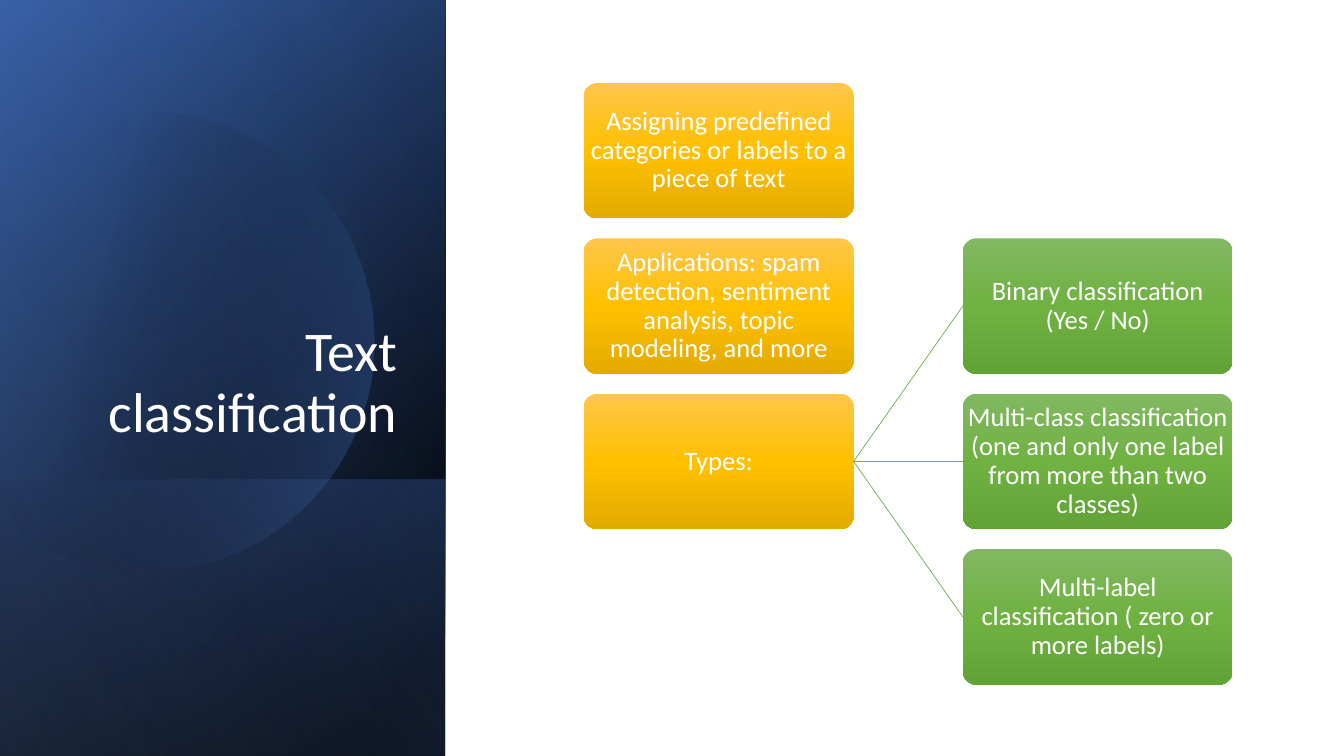
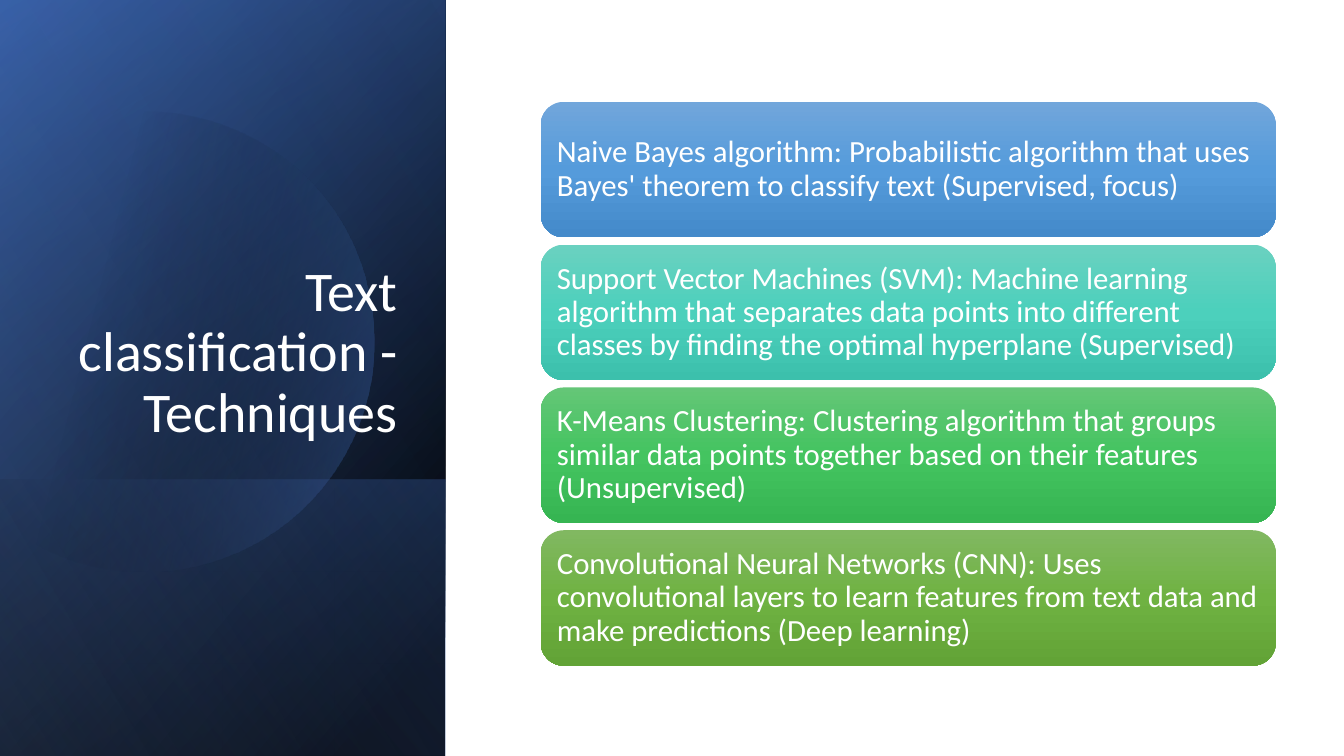
from pptx import Presentation
from pptx.dml.color import RGBColor
from pptx.enum.shapes import MSO_CONNECTOR, MSO_SHAPE
from pptx.enum.text import MSO_ANCHOR, PP_ALIGN
from pptx.oxml import parse_xml
from pptx.oxml.ns import nsdecls, qn
from pptx.oxml.xmlchemy import OxmlElement
from pptx.util import Pt

PX = 9525
SLIDE_WIDTH, SLIDE_HEIGHT = 1280, 720
PANEL_WIDTH = 424
FLOOR_TOP = 457
FONT = "Calibri"
WHITE = "FFFFFF"
LINE_GREEN = "70AD47"

# Gradient stops: position in %, colour, opacity in %
AMBER = [(0, "FFC64B", 100), (50, "FFC000", 100), (100, "E3AB00", 100)]
BLUE = [(0, "71A6DB", 100), (50, "559BDB", 100), (100, "448ACA", 100)]
TEAL = [(0, "6AD1C0", 100), (50, "4CD0BC", 100), (100, "3CC0AC", 100)]
EMERALD = [(0, "64C677", 100), (50, "44C460", 100), (100, "36B552", 100)]
GREEN = [(0, "81B861", 100), (50, "6FB242", 100), (100, "62A336", 100)]

PANEL_BASE = [(8, "000000", 100), (100, "2F5597", 100)]
PANEL_GLOW = [(0, "000000", 0), (99, "4472C4", 46)]
PANEL_FLOOR = [(2, "4472C4", 29), (100, "000000", 30)]
PANEL_DISC = [(29, "000000", 0), (100, "4472C4", 43)]
PANEL_SHEEN = [(0, "000000", 0), (99, "8FAADC", 11)]

DISC_START = (143, 106)
DISC_RIGHT = [
    ((236, 108), (322, 170), (348, 264)),
    ((382, 381), (315, 502), (199, 536)),
    ((126, 557), (51, 539), (0, 495)),
]
DISC_EDGE = (0, 155)
DISC_LEFT = [
    ((22, 137), (48, 122), (77, 114)),
    ((99, 108), (121, 106), DISC_START),
]

TOPICS = [
    "Assigning predefined categories or labels to a piece of text",
    "Applications: spam detection, sentiment analysis, topic modeling, and more",
    "Types:",
]
TYPES = [
    "Binary classification (Yes / No)",
    "Multi-class classification (one and only one label from more than two classes)",
    "Multi-label classification ( zero or more labels)",
]
TECHNIQUES = [
    ("Naive Bayes algorithm: Probabilistic algorithm that uses Bayes' theorem "
     "to classify text (Supervised, focus)", BLUE),
    ("Support Vector Machines (SVM): Machine learning algorithm that separates "
     "data points into different classes by finding the optimal hyperplane "
     "(Supervised)", TEAL),
    ("K-Means Clustering: Clustering algorithm that groups similar data points "
     "together based on their features (Unsupervised)", EMERALD),
    ("Convolutional Neural Networks (CNN): Uses convolutional layers to learn "
     "features from text data and make predictions (Deep learning)", GREEN),
]


def px(*lengths):
    return [round(length * PX) for length in lengths]


def color(value):
    return RGBColor.from_string(value)


def paint_gradient(shape, stops, angle):
    """Fill with any number of stops, without outline or shadow."""
    stop_xml = "".join(
        f'<a:gs pos="{position * 1000}"><a:srgbClr val="{value}">'
        f'<a:alpha val="{opacity * 1000}"/></a:srgbClr></a:gs>'
        for position, value, opacity in stops
    )
    shape.fill.gradient()
    properties = shape.element.spPr
    properties.replace(
        properties.find(qn("a:gradFill")),
        parse_xml(
            f'<a:gradFill {nsdecls("a")} rotWithShape="1"><a:gsLst>{stop_xml}</a:gsLst>'
            f'<a:lin ang="{angle * 60000}" scaled="0"/></a:gradFill>'
        ),
    )
    shape.line.fill.background()
    shape.shadow.inherit = False


def write_text(box, text, size, align, anchor):
    frame = box.text_frame
    frame.word_wrap = True
    frame.vertical_anchor = anchor
    para = frame.paragraphs[0]
    para.text = text
    para.alignment = align
    para.line_spacing = 0.9
    para.font.name = FONT
    para.font.size = Pt(size)
    para.font.color.rgb = color(WHITE)


def add_panel_band(page, top, stops, angle):
    """Cover the side panel from top down with a mirrored, quarter-turned rectangle."""
    length = SLIDE_HEIGHT - top
    left = (PANEL_WIDTH - length) / 2
    frame_top = top + (length - PANEL_WIDTH) / 2
    band = page.shapes.add_shape(
        MSO_SHAPE.RECTANGLE, *px(left, frame_top, length, PANEL_WIDTH)
    )
    band.rotation = 90
    band.element.spPr.xfrm.set("flipH", "1")
    paint_gradient(band, stops, angle)


def curve_points(start, curves, steps=24):
    """Points along a chain of cubic curves, without the start."""
    points = []
    for first, second, end in curves:
        for step in range(1, steps + 1):
            t = step / steps
            points.append(tuple(
                (1 - t) ** 3 * a + 3 * (1 - t) ** 2 * t * b
                + 3 * (1 - t) * t ** 2 * c + t ** 3 * d
                for a, b, c, d in zip(start, first, second, end)
            ))
        start = end
    return points


def add_disc(page):
    outline = [
        *curve_points(DISC_START, DISC_RIGHT),
        DISC_EDGE,
        *curve_points(DISC_EDGE, DISC_LEFT),
    ]
    builder = page.shapes.build_freeform(*px(*DISC_START), scale=1.0)
    builder.add_line_segments([px(*point) for point in outline], close=True)
    paint_gradient(builder.convert_to_shape(), PANEL_DISC, 14)


def add_titled_page(deck, title):
    page = deck.slides.add_slide(deck.slide_layouts[6])
    add_panel_band(page, 0, PANEL_BASE, 50)
    add_panel_band(page, 0, PANEL_GLOW, 30)
    add_panel_band(page, FLOOR_TOP, PANEL_FLOOR, 130)
    add_disc(page)
    add_panel_band(page, 0, PANEL_SHEEN, 120)
    box = page.shapes.add_textbox(*px(61, 177, 327, 251))
    write_text(box, title, 40, PP_ALIGN.RIGHT, MSO_ANCHOR.BOTTOM)
    return page


def add_card(page, bounds, text, stops, size, align, inset, rounding):
    card = page.shapes.add_shape(MSO_SHAPE.ROUNDED_RECTANGLE, *px(*bounds))
    card.adjustments[0] = rounding
    paint_gradient(card, stops, 90)
    frame = card.text_frame
    frame.margin_left, frame.margin_top, frame.margin_right, frame.margin_bottom = px(
        *[inset] * 4
    )
    write_text(card, text, size, align, MSO_ANCHOR.MIDDLE)
    return card


def add_link(page, source, target):
    """Join the right side of one card to the left side of another."""
    link = page.shapes.add_connector(MSO_CONNECTOR.STRAIGHT, 0, 0, 0, 0)
    link.begin_connect(source, 3)
    link.end_connect(target, 1)
    link.line.color.rgb = color(LINE_GREEN)
    link.line.width = Pt(0.5)
    link.element.spPr.append(OxmlElement("a:effectLst"))


def add_card_column(page, left, top, texts, stops):
    pitch = 148
    return [
        add_card(page, (left, top + row * pitch, 257, 129), text, stops,
                 19, PP_ALIGN.CENTER, 1, 0.1)
        for row, text in enumerate(texts)
    ]


def build_overview(deck):
    page = add_titled_page(deck, "Text classification")
    topics = add_card_column(page, 556, 79, TOPICS, AMBER)
    for card in add_card_column(page, 917, 227, TYPES, GREEN):
        add_link(page, topics[-1], card)


def build_techniques(deck):
    page = add_titled_page(deck, "Text classification - Techniques")
    for row, (text, stops) in enumerate(TECHNIQUES):
        add_card(page, (515, 97 + row * 136, 700, 129), text, stops,
                 22, PP_ALIGN.LEFT, 9, 0.17)


def main():
    deck = Presentation()
    deck.slide_width, deck.slide_height = px(SLIDE_WIDTH, SLIDE_HEIGHT)
    build_overview(deck)
    build_techniques(deck)
    deck.save("out.pptx")


if __name__ == "__main__":
    main()
